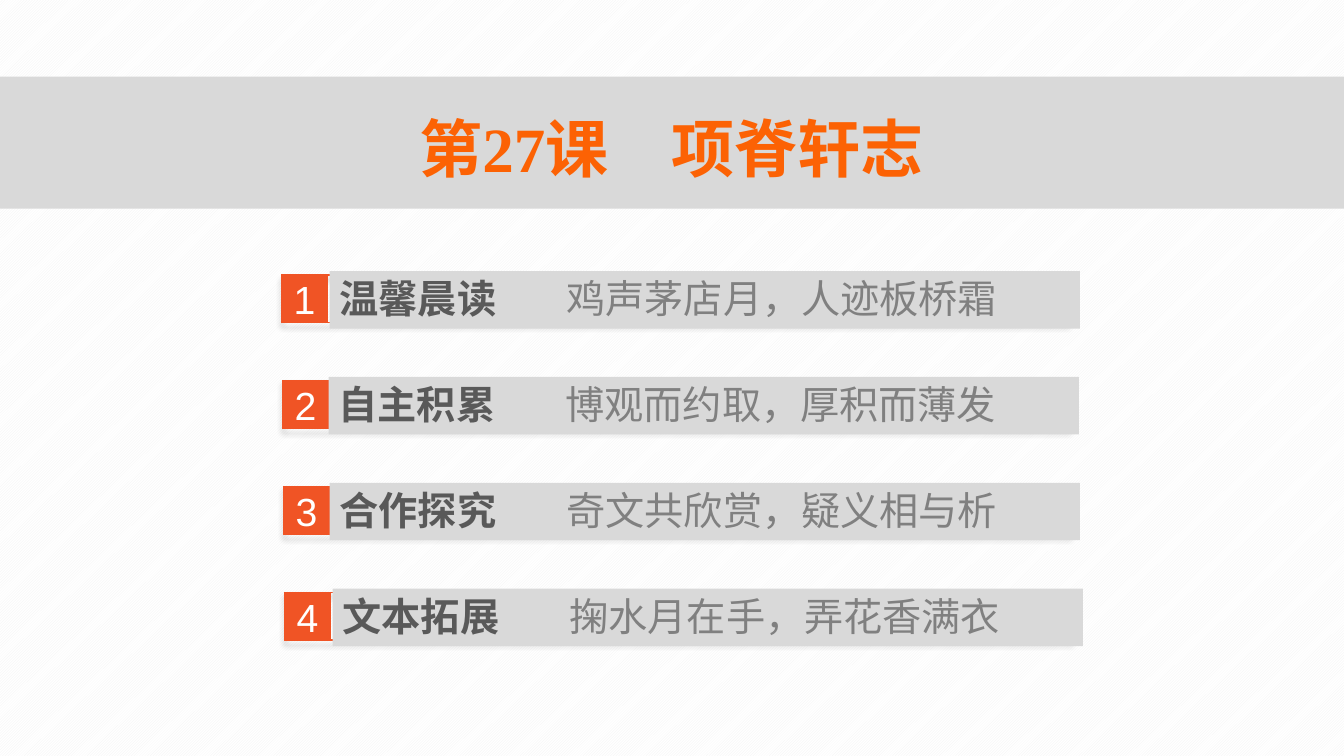
from dataclasses import dataclass

from lxml import etree
from pptx import Presentation
from pptx.dml.color import RGBColor
from pptx.enum.dml import MSO_PATTERN
from pptx.enum.shapes import MSO_SHAPE as Shape
from pptx.enum.text import MSO_ANCHOR as Anchor, PP_ALIGN as Align
from pptx.oxml import parse_xml
from pptx.oxml.ns import nsdecls, qn
from pptx.util import Inches, Pt

ORANGE, GREY, CJK = "F05425", "D9D9D9", "Noto Sans CJK SC"
TOP, PITCH, DRIFT = 2.73, 1.05, 0.01


@dataclass
class Section:
    heading: str
    verse: str
    bar_left: float


SECTIONS = [
    Section("温馨晨读", "鸡声茅店月，人迹板桥霜", 3.27),
    Section("自主积累", "博观而约取，厚积而薄发", 3.26),
    Section("合作探究", "奇文共欣赏，疑义相与析", 3.27),
    Section("文本拓展", "掬水月在手，弄花香满衣", 3.3),
]


def rgb(color: str) -> RGBColor:
    return RGBColor.from_string(color)


def add_rect(shapes, left: float, top: float, width: float, height: float,
             fill: str | None = None, line: str | None = None):
    sp = shapes.add_shape(Shape.RECTANGLE, Inches(left), Inches(top),
                          Inches(width), Inches(height))
    sp.shadow.inherit = False
    if fill:
        sp.fill.solid()
        sp.fill.fore_color.rgb = rgb(fill)
    else:
        sp.fill.background()
    if line:
        sp.line.color.rgb = rgb(line)
        sp.line.width = Pt(1)
    else:
        sp.line.fill.background()
    return sp


def add_shadow(sp) -> None:
    effects = sp._element.spPr.find(qn("a:effectLst"))
    effects.append(parse_xml(
        f'<a:outerShdw {nsdecls("a")} blurRad="{Pt(4)}" dist="{Pt(3)}" '
        'dir="5400000" algn="t" rotWithShape="0"><a:srgbClr val="000000">'
        '<a:alpha val="40000"/></a:srgbClr></a:outerShdw>'))


def add_run(p, text: str, color: str, name: str, size: float = 28, bold: bool = False) -> None:
    r = p.add_run()
    r.text = text
    for key, value in {"name": name, "size": Pt(size), "bold": bold}.items():
        setattr(r.font, key, value)
    r.font.color.rgb = rgb(color)
    etree.SubElement(r._r.get_or_add_rPr(), qn("a:ea")).set("typeface", CJK)


def set_frame(sp, align: Align, **formats):
    tf = sp.text_frame
    for key, value in {"word_wrap": True, "vertical_anchor": Anchor.MIDDLE, **formats}.items():
        setattr(tf, key, value)
    p = tf.paragraphs[0]
    p.alignment = align
    return p


def add_section(s, index: int, section: Section) -> None:
    shapes = s.shapes.add_group_shape().shapes
    left, top = 2.79 + DRIFT * index, TOP + PITCH * index
    add_shadow(add_rect(shapes, left, top, 7.79, 0.47, line=ORANGE))

    number = add_rect(shapes, left, top, 0.46, 0.47, ORANGE, ORANGE)
    add_run(set_frame(number, Align.CENTER), str(index + 1), "FFFFFF", "Arial")

    bar = add_rect(shapes, section.bar_left, top - 0.04, 7.44, 0.57, GREY)
    p = set_frame(bar, Align.LEFT, margin_top=0, margin_bottom=Inches(0.04))
    tabs = etree.SubElement(p._p.get_or_add_pPr(), qn("a:tabLst"))
    etree.SubElement(tabs, qn("a:tab"), pos=str(Inches(2.25)), algn="l")
    add_run(p, section.heading + "\t", "595959", CJK, bold=True)
    add_run(p, section.verse, "808080", CJK)


def main() -> None:
    prs = Presentation()
    prs.slide_width, prs.slide_height = Inches(13.33), Inches(7.5)
    s = prs.slides.add_slide(prs.slide_layouts[6])
    fill = s.background.fill
    fill.patterned()
    fill.pattern = MSO_PATTERN.LIGHT_UPWARD_DIAGONAL
    fill.fore_color.rgb = rgb("F2F2F2")
    fill.back_color.rgb = rgb("FFFFFF")

    add_rect(s.shapes, 0, 0.76, 13.33, 1.31, GREY)
    for index, section in enumerate(SECTIONS):
        add_section(s, index, section)
    title = s.shapes.add_textbox(Inches(0.41), Inches(1.05), Inches(12.5), Inches(0.82))
    add_run(set_frame(title, Align.CENTER), "第27课　项脊轩志", "FC6204",
            "Times New Roman", 45, True)
    prs.save("out.pptx")


if __name__ == "__main__":
    main()
